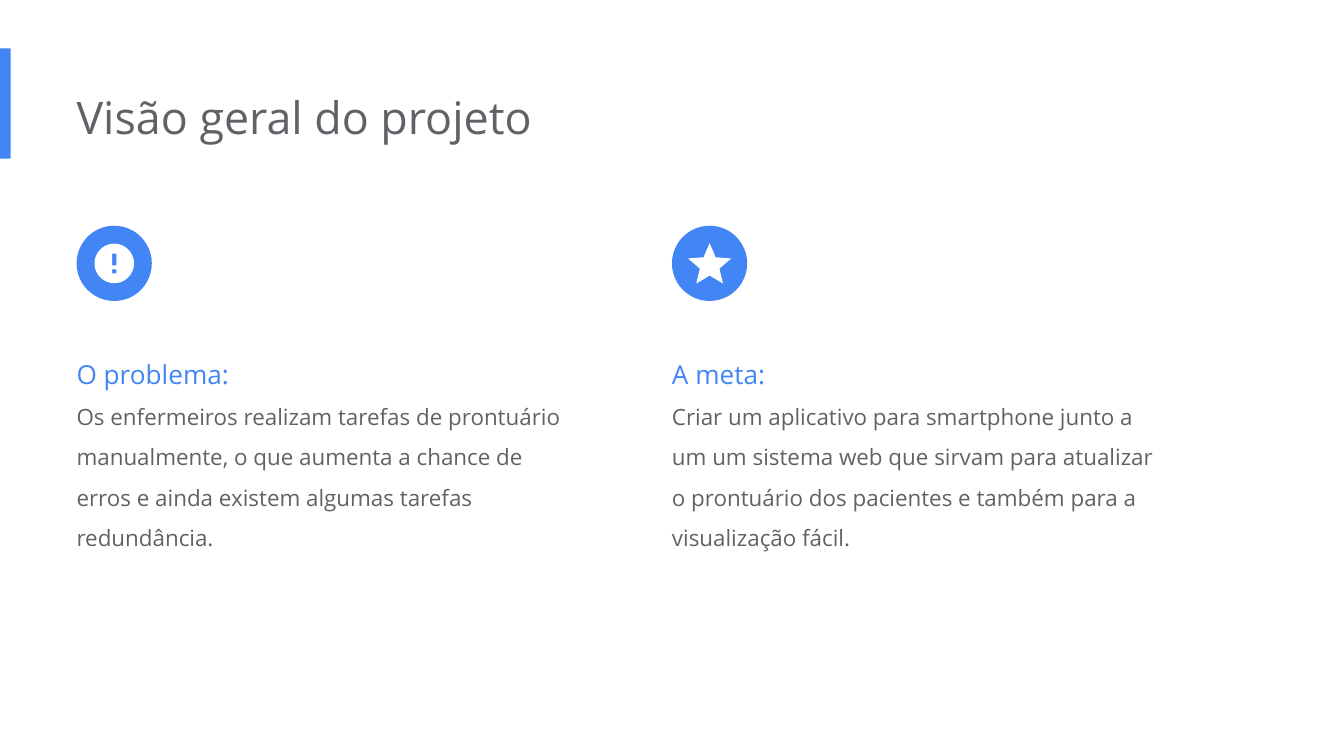
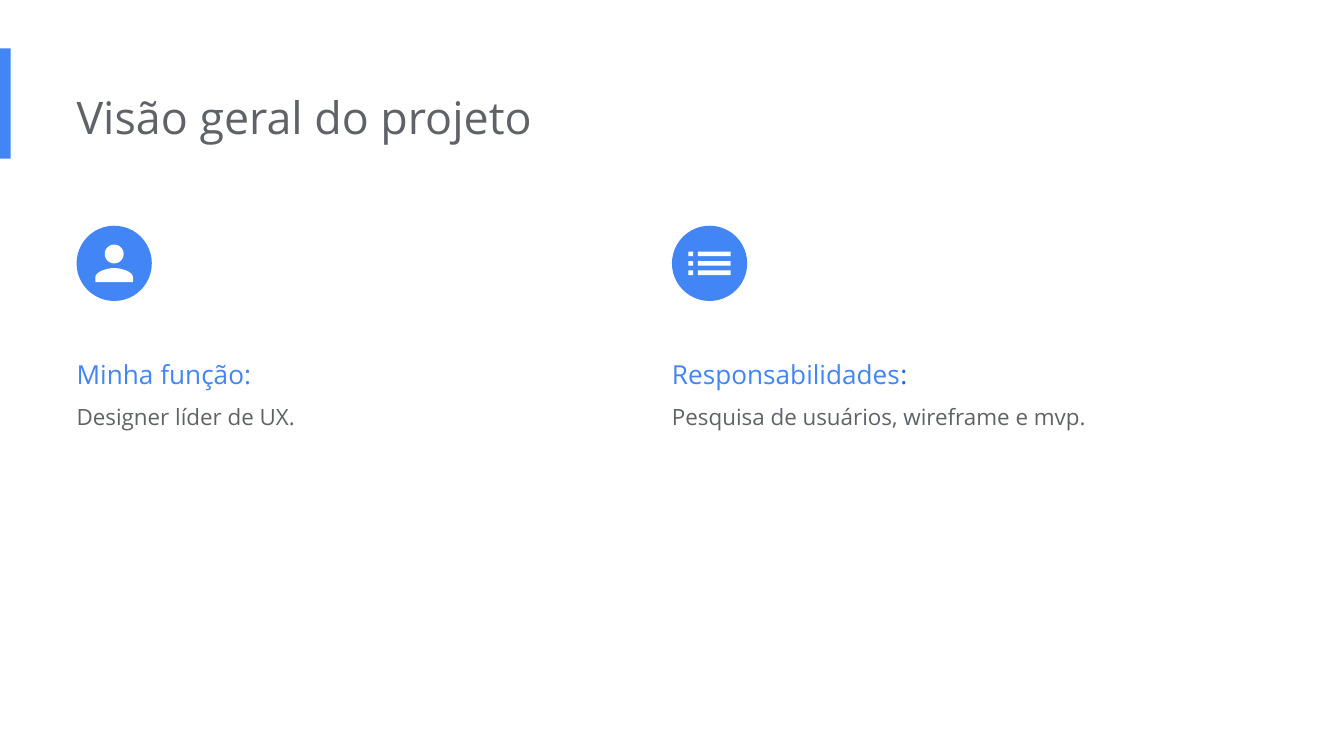
import math
from dataclasses import dataclass

import pptx
import pptx.dml.color
import pptx.enum.shapes
import pptx.enum.text
import pptx.util

SHAPES = pptx.enum.shapes.MSO_SHAPE


@dataclass(frozen=True)
class Theme:
    font: str = "Open Sans"
    blue: str = "4285F4"
    dark_blue: str = "1967D2"
    grey: str = "5F6368"
    white: str = "FFFFFF"
    title_size: int = 24
    heading_size: int = 14
    body_size: int = 12


@dataclass(frozen=True)
class Grid:
    """Columns and rows of every slide, in inches."""
    width: float = 10
    height: float = 10 * 9 / 16
    margin: float = 0.57
    column_step: float = 4.43
    column_width: float = 3.77
    band: tuple = (0, 0.36, 0.08, 0.82)
    title: tuple = (0.57, 0.57, 6.73, 0.61)
    badge_top: float = 1.68
    badge_size: float = 0.56
    text_top: float = 2.45
    heading_height: float = 0.46
    line_height: float = 0.3

    def column(self, index):
        return self.margin + index * self.column_step


THEME = Theme()
GRID = Grid()


def inches(*lengths):
    return [pptx.util.Inches(length) for length in lengths]


def rgb(color):
    return pptx.dml.color.RGBColor.from_string(color)


def apply(target, values):
    for name, value in values.items():
        setattr(target, name, value)


# Text and plain shapes

def fill_shape(shape, color):
    shape.shadow.inherit = False
    shape.fill.solid()
    shape.fill.fore_color.rgb = rgb(color)
    shape.line.fill.background()


def format_frame(frame):
    inset = pptx.util.Inches(0.1)
    apply(frame, {
        "word_wrap": True,
        "auto_size": pptx.enum.text.MSO_AUTO_SIZE.SHAPE_TO_FIT_TEXT,
        "vertical_anchor": pptx.enum.text.MSO_ANCHOR.TOP,
        "margin_left": 0,
        "margin_top": inset,
        "margin_right": inset,
        "margin_bottom": inset,
    })


def write(paragraph, runs, size, spacing):
    apply(paragraph, {
        "alignment": pptx.enum.text.PP_ALIGN.LEFT,
        "line_spacing": spacing,
        "space_before": pptx.util.Pt(0),
    })
    for text, color in runs:
        run = paragraph.add_run()
        run.text = text
        apply(run.font, {"name": THEME.font, "size": pptx.util.Pt(size)})
        run.font.color.rgb = rgb(color)


def add_title(slide, text):
    title = slide.shapes.title
    apply(title, dict(zip(("left", "top", "width", "height"), inches(*GRID.title))))
    format_frame(title.text_frame)
    write(title.text_frame.paragraphs[0], [(text, THEME.grey)], THEME.title_size, 1.0)


def add_text(slide, left, heading, body, lines):
    height = GRID.heading_height + lines * GRID.line_height
    box = slide.shapes.add_textbox(*inches(left, GRID.text_top, GRID.column_width, height))
    frame = box.text_frame
    format_frame(frame)
    write(frame.paragraphs[0], heading, THEME.heading_size, 1.5)
    write(frame.add_paragraph(), [(body, THEME.grey)], THEME.body_size, 1.5)


# Icon outlines, in thousandths of an inch from the badge centre

def mirrored(right_half):
    return right_half + [(-x, y) for x, y in reversed(right_half)]


def rectangle(left, top, right, bottom):
    return [(left, top), (right, top), (right, bottom), (left, bottom)]


def circle(radius, center_y=0, steps=60):
    angles = [2 * math.pi * step / steps for step in range(steps)]
    return [(radius * math.cos(a), center_y + radius * math.sin(a)) for a in angles]


def curve(start, control_1, control_2, end, steps=16):
    points = []
    for step in range(steps + 1):
        t = step / steps
        weights = ((1 - t) ** 3, 3 * t * (1 - t) ** 2, 3 * t * t * (1 - t), t ** 3)
        points.append(tuple(
            sum(weight * value for weight, value in zip(weights, values))
            for values in zip(start, control_1, control_2, end)))
    return points


def alert_icon():
    return [circle(147), rectangle(-16, 15, 16, -73), rectangle(-16, 74, 16, 44)]


def star_icon():
    return [mirrored([(0, -150), (45, -45), (160, -36), (73, 39), (99, 150), (0, 91)])]


def person_icon():
    shoulder = curve((0, 35), (47, 35), (140, 58), (140, 105))
    return [circle(70, -70), mirrored(shoulder + [(140, 140)])]


def list_icon():
    return [rectangle(left, row - 17, right, row + 17)
            for row in (-70, 0, 70)
            for left, right in ((-157, -122), (-87, 157))]


def add_badge(slide, left, contours):
    size = GRID.badge_size
    badge = slide.shapes.add_shape(SHAPES.OVAL, *inches(left, GRID.badge_top, size, size))
    fill_shape(badge, THEME.blue)
    builder = slide.shapes.build_freeform(*contours[0][0], scale=pptx.util.Inches(1) / 1000)
    for index, contour in enumerate(contours):
        if index:
            builder.move_to(*contour[0])
        builder.add_line_segments(contour[1:], close=True)
    icon = builder.convert_to_shape(*inches(left + size / 2, GRID.badge_top + size / 2))
    fill_shape(icon, THEME.white)


# Slides

def add_band(slide):
    """Draw the side band and hand it to the layout that the slides share."""
    band = slide.shapes.add_shape(SHAPES.RECTANGLE, *inches(*GRID.band))
    fill_shape(band, THEME.blue)
    slide.slide_layout.shapes.element.append(band.element)


def add_overview(presentation, layout, columns):
    slide = presentation.slides.add_slide(layout)
    add_title(slide, "Visão geral do projeto")
    for index, (contours, heading, body, lines) in enumerate(columns):
        left = GRID.column(index)
        add_text(slide, left, heading, body, lines)
        add_badge(slide, left, contours)
    return slide


def main():
    presentation = pptx.Presentation()
    apply(presentation, dict(zip(("slide_width", "slide_height"),
                                 inches(GRID.width, GRID.height))))
    layout = presentation.slide_layouts[5]

    # Problem and goal
    slide = add_overview(presentation, layout, [
        (alert_icon(), [("O problema:", THEME.blue)],
         "Os enfermeiros realizam tarefas de prontuário manualmente, o que aumenta "
         "a chance de erros e ainda existem algumas tarefas redundância.", 4),
        (star_icon(), [("A meta:", THEME.blue)],
         "Criar um aplicativo para smartphone junto a um um sistema web que sirvam para "
         "atualizar o prontuário dos pacientes e também para a visualização fácil.", 4),
    ])
    add_band(slide)

    # Role and responsibilities
    add_overview(presentation, layout, [
        (person_icon(), [("Minha função:", THEME.blue)], "Designer líder de UX.", 1),
        (list_icon(), [("Responsabilidades", THEME.blue), (":", THEME.dark_blue)],
         "Pesquisa de usuários, wireframe e mvp.", 1),
    ])
    presentation.save("out.pptx")


if __name__ == "__main__":
    main()
